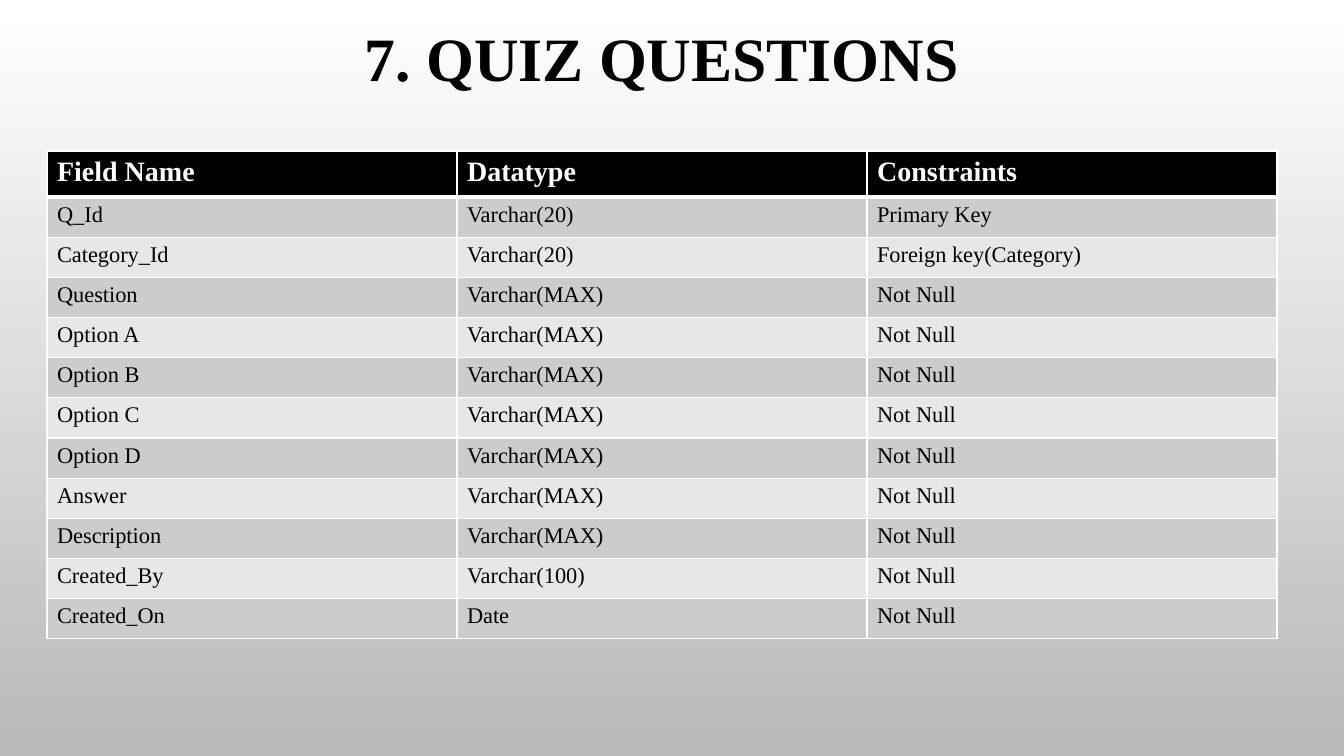
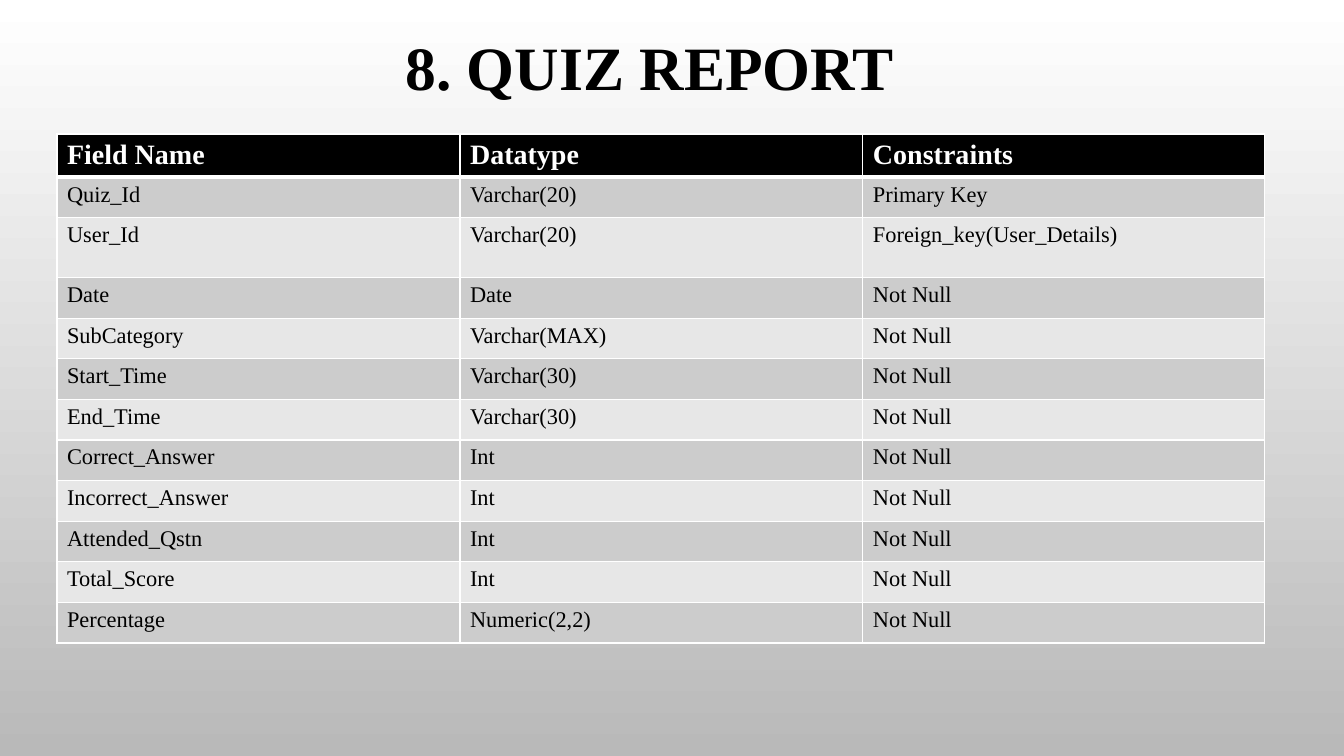
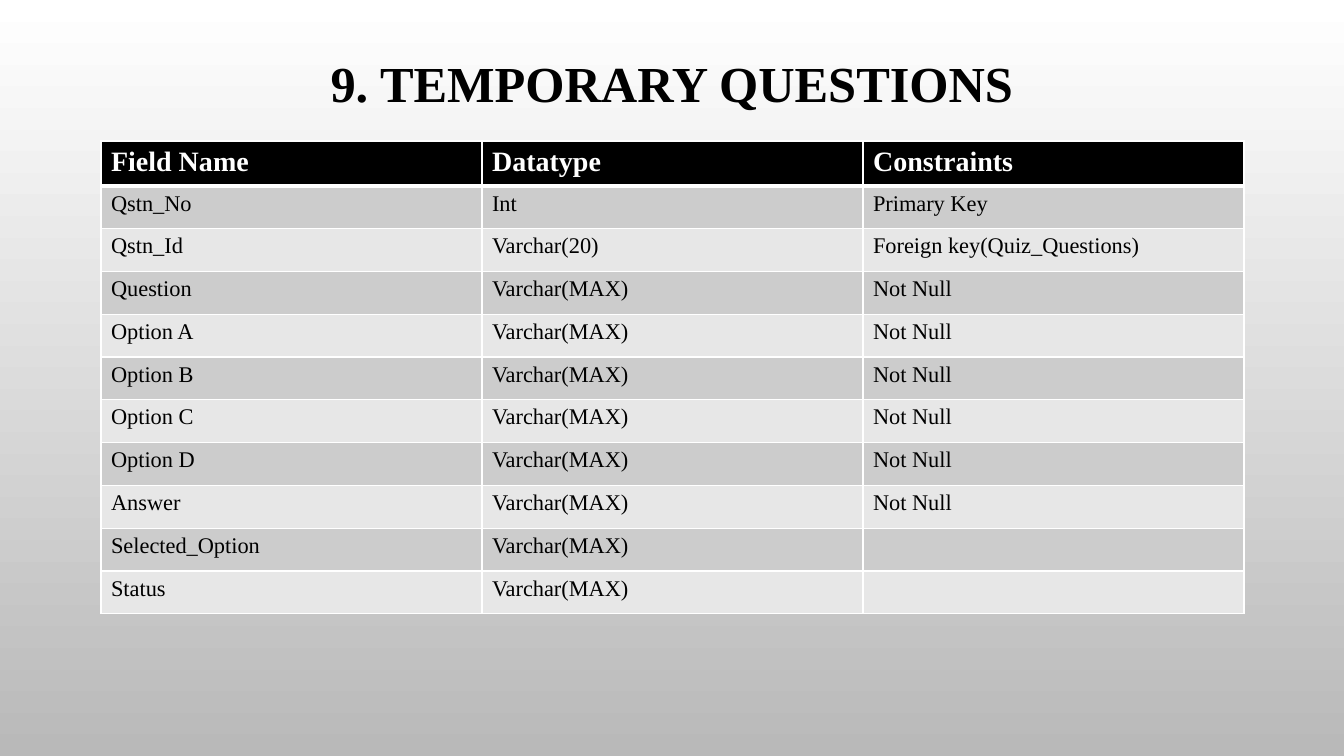
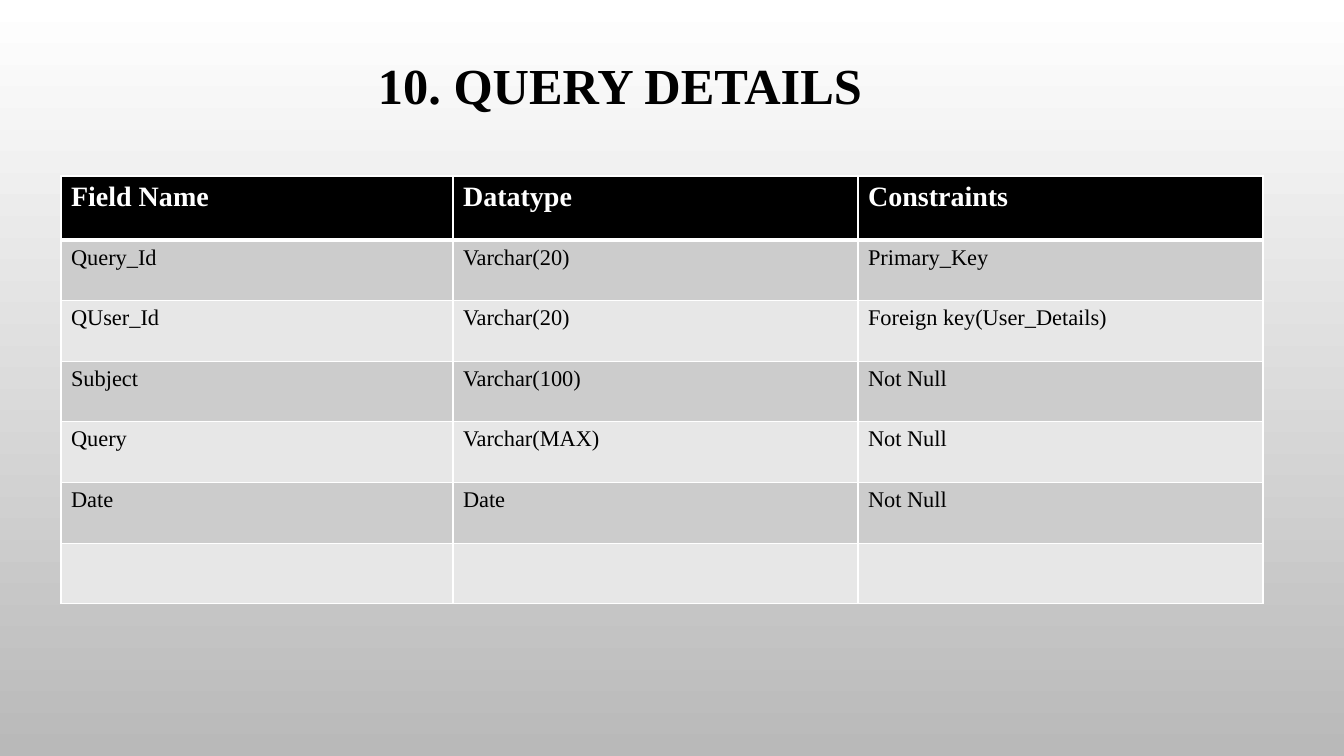
from lxml.etree import SubElement
from pptx import Presentation
from pptx.dml.color import RGBColor
from pptx.enum.text import MSO_ANCHOR, PP_ALIGN
from pptx.oxml.ns import qn
from pptx.util import Emu, Pt

SCALE = 914400 / 100.8
FONT = "Times New Roman"
BLACK, WHITE = "000000", "FFFFFF"
BACKGROUND_END = "B9B9B9"
BANDS = ("CCCCCC", "E7E7E7")
HEADINGS = ("Field Name", "Datatype", "Constraints")
MAX_TEXT = "Varchar(MAX)"
REQUIRED = "Not Null"
QUESTION_FIELDS = [
    (field, MAX_TEXT, REQUIRED)
    for field in ("Question", "Option A", "Option B", "Option C", "Option D", "Answer")
]


def px(length):
    return Emu(round(length * SCALE))


def color(value):
    return RGBColor.from_string(value)


def write(frame, text, *, size, ink=BLACK, bold=False, align=None, spacing=None):
    paragraph = frame.paragraphs[0]
    paragraph.alignment = align
    paragraph.line_spacing = spacing
    run = paragraph.add_run()
    run.text = text
    run.font.name = FONT
    run.font.size = Pt(size)
    run.font.bold = bold
    run.font.color.rgb = color(ink)


def set_borders(cell, **widths):
    """Draw white cell borders; widths are points keyed by side: L, R, T, B."""
    properties = cell._tc.get_or_add_tcPr()
    for side in "LRTB":
        line = SubElement(properties, qn(f"a:ln{side}"), w=str(Pt(widths.get(side, 1))))
        fill = SubElement(line, qn("a:solidFill"))
        SubElement(fill, qn("a:srgbClr"), val=WHITE)


class SchemaDeck:
    def __init__(self):
        self.presentation = Presentation()
        self.presentation.slide_width = px(1344)
        self.presentation.slide_height = px(756)
        self.slide = None
        self.set_background()

    def set_background(self):
        fill = self.presentation.slide_master.background.fill
        fill.gradient()
        fill.gradient_angle = 270
        for stop, position, shade in zip(fill.gradient_stops, (0, 1), (WHITE, BACKGROUND_END)):
            stop.position = position
            stop.color.rgb = color(shade)

    def add_slide(self):
        self.slide = self.presentation.slides.add_slide(self.presentation.slide_layouts[5])

    def title(self, text, left, top, height=176, size=44):
        heading = self.slide.shapes.title
        heading.left, heading.top = px(left), px(top)
        heading.width, heading.height = px(1142), px(height)
        heading.text_frame.vertical_anchor = MSO_ANCHOR.MIDDLE
        write(heading.text_frame, text, size=size, bold=True,
              align=PP_ALIGN.CENTER, spacing=0.9)

    def field_table(self, fields, left, top, widths, height, header, tall_rows=None):
        """Fill a banded table; rows not in tall_rows share the height that is left."""
        fixed = {0: header, **(tall_rows or {})}
        records = [HEADINGS, *fields]
        shared = (height - sum(fixed.values())) / (len(records) - len(fixed))
        table = self.slide.shapes.add_table(
            len(records), len(HEADINGS), px(left), px(top), px(sum(widths)), px(height)
        ).table
        table.horz_banding = False
        for column, width in zip(table.columns, widths):
            column.width = px(width)
        for index, record in enumerate(records):
            table.rows[index].height = px(fixed.get(index, shared))
            for column, text in enumerate(record):
                self.field_cell(table.cell(index, column), text, index)

    def field_cell(self, cell, text, row):
        is_header = row == 0
        set_borders(cell, T=3 if row == 1 else 1, B=3 if is_header else 1)
        cell.fill.solid()
        cell.fill.fore_color.rgb = color(BLACK if is_header else BANDS[(row - 1) % 2])
        if text:
            write(cell.text_frame, text, size=20 if is_header else 16,
                  ink=WHITE if is_header else BLACK, bold=is_header)


def main():
    deck = SchemaDeck()

    deck.add_slide()
    deck.title("7. QUIZ QUESTIONS", 91, -26)
    deck.field_table([
        ("Q_Id", "Varchar(20)", "Primary Key"),
        ("Category_Id", "Varchar(20)", "Foreign key(Category)"),
        *QUESTION_FIELDS,
        ("Description", MAX_TEXT, REQUIRED),
        ("Created_By", "Varchar(100)", REQUIRED),
        ("Created_On", "Date", REQUIRED),
    ], 47, 151, (410, 410, 410), height=488, header=46)

    deck.add_slide()
    deck.title("8. QUIZ REPORT", 79, -17)
    deck.field_table([
        ("Quiz_Id", "Varchar(20)", "Primary Key"),
        ("User_Id", "Varchar(20)", "Foreign_key(User_Details)"),
        ("Date", "Date", REQUIRED),
        ("SubCategory", MAX_TEXT, REQUIRED),
        ("Start_Time", "Varchar(30)", REQUIRED),
        ("End_Time", "Varchar(30)", REQUIRED),
        ("Correct_Answer", "Int", REQUIRED),
        ("Incorrect_Answer", "Int", REQUIRED),
        ("Attended_Qstn", "Int", REQUIRED),
        ("Total_Score", "Int", REQUIRED),
        ("Percentage", "Numeric(2,2)", REQUIRED),
    ], 57, 134, (403, 403, 402), height=509, header=43, tall_rows={2: 60})

    deck.add_slide()
    deck.title("9. TEMPORARY QUESTIONS", 101, 21, height=130, size=36)
    deck.field_table([
        ("Qstn_No", "Int", "Primary Key"),
        ("Qstn_Id", "Varchar(20)", "Foreign key(Quiz_Questions)"),
        *QUESTION_FIELDS,
        ("Selected_Option", MAX_TEXT, ""),
        ("Status", MAX_TEXT, ""),
    ], 101, 141, (381, 381, 381), height=473, header=45)

    deck.add_slide()
    deck.title("10. QUERY DETAILS", 49, 0, size=36)
    deck.field_table([
        ("Query_Id", "Varchar(20)", "Primary_Key"),
        ("QUser_Id", "Varchar(20)", "Foreign key(User_Details)"),
        ("Subject", "Varchar(100)", REQUIRED),
        ("Query", MAX_TEXT, REQUIRED),
        ("Date", "Date", REQUIRED),
        ("", "", ""),
    ], 61, 176, (392, 405, 405), height=428, header=64)

    deck.presentation.save("out.pptx")


if __name__ == "__main__":
    main()
